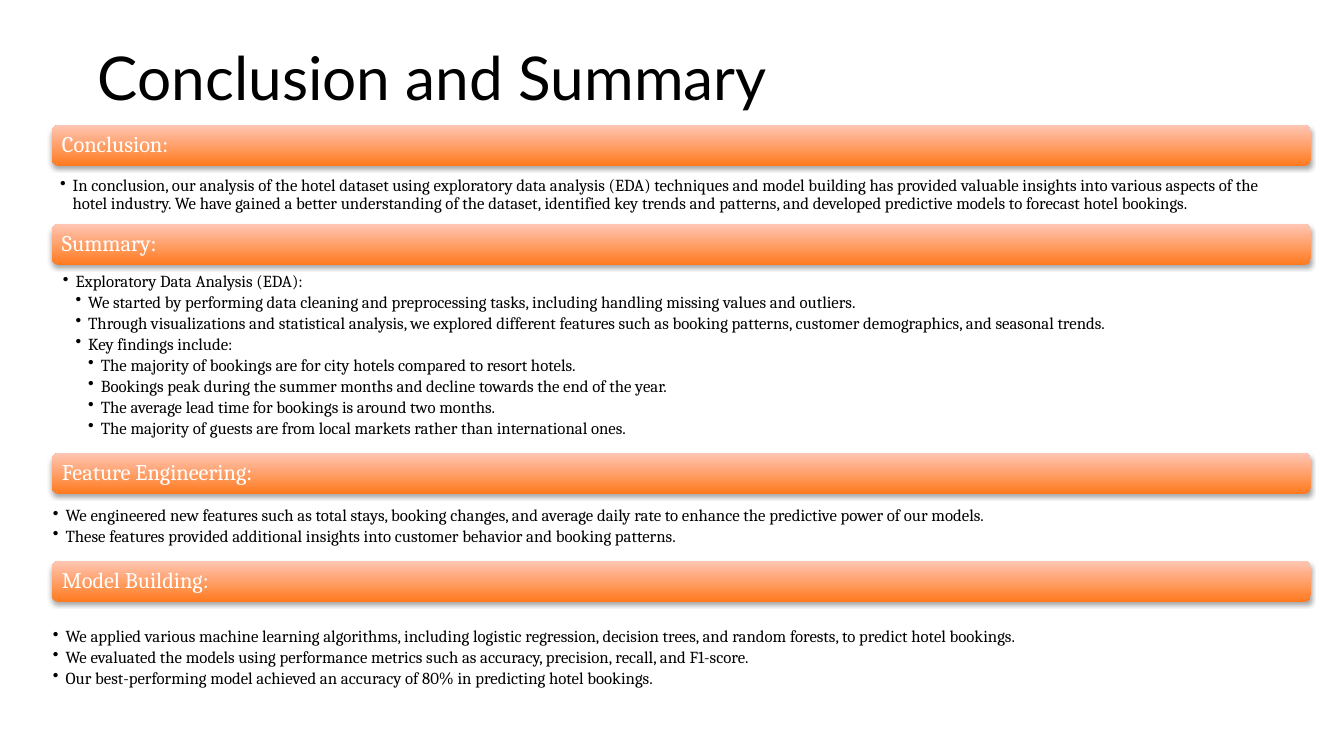
from lxml.etree import SubElement
from pptx import Presentation
from pptx.dml.color import RGBColor
from pptx.enum.shapes import MSO_SHAPE
from pptx.enum.text import MSO_ANCHOR, PP_ALIGN
from pptx.oxml.ns import qn
from pptx.util import Emu, Pt

COLORS = {"text": "000000", "heading": "FFFFFF", "bar_dark": "FF7A1F",
          "bar_light": "FFC6B4", "shadow": "000000"}

SECTIONS = [
    ("Conclusion:", 125, (58, 175, 41), [
        (1, "In conclusion, our analysis of the hotel dataset using exploratory data analysis (EDA) "
            "techniques and model building has provided valuable insights into various aspects of the "
            "hotel industry. We have gained a better understanding of the dataset, identified key trends "
            "and patterns, and developed predictive models to forecast hotel bookings."),
    ]),
    ("Summary:", 224, (61, 271, 175), [
        (1, "Exploratory Data Analysis (EDA):"),
        (2, "We started by performing data cleaning and preprocessing tasks, including handling missing "
            "values and outliers."),
        (2, "Through visualizations and statistical analysis, we explored different features such as "
            "booking patterns, customer demographics, and seasonal trends."),
        (2, "Key findings include:"),
        (3, "The majority of bookings are for city hotels compared to resort hotels."),
        (3, "Bookings peak during the summer months and decline towards the end of the year."),
        (3, "The average lead time for bookings is around two months."),
        (3, "The majority of guests are from local markets rather than international ones."),
    ]),
    ("Feature Engineering:", 453, (51, 505, 45), [
        (1, "We engineered new features such as total stays, booking changes, and average daily rate to "
            "enhance the predictive power of our models."),
        (1, "These features provided additional insights into customer behavior and booking patterns."),
    ]),
    ("Model Building:", 561, (51, 626, 68), [
        (1, "We applied various machine learning algorithms, including logistic regression, decision "
            "trees, and random forests, to predict hotel bookings."),
        (1, "We evaluated the models using performance metrics such as accuracy, precision, recall, and "
            "F1-score."),
        (1, "Our best-performing model achieved an accuracy of 80% in predicting hotel bookings."),
    ]),
]


def px(length):
    return Emu(round(length * 914400 / 100.8))


class SlideBuilder:
    heading_font = "Lato"
    body_font = "Cambria"
    bullet_indent = 9

    def __init__(self, slide):
        self.slide = slide

    def frame(self, shape, inset_x, inset_y, anchor):
        frame = shape.text_frame
        frame.word_wrap = True
        frame.vertical_anchor = anchor
        frame.margin_left = frame.margin_right = px(inset_x)
        frame.margin_top = frame.margin_bottom = px(inset_y)
        return frame

    def set_text(self, paragraph, text, size, font, color):
        paragraph.text = text
        paragraph.alignment = PP_ALIGN.LEFT
        paragraph.line_spacing = 0.9
        paragraph.font.size = Pt(size)
        paragraph.font.name = font
        paragraph.font.color.rgb = RGBColor.from_string(COLORS[color])

    def title(self, text, left, top, width, height):
        box = self.slide.shapes.add_textbox(px(left), px(top), px(width), px(height))
        frame = self.frame(box, 5, 8, MSO_ANCHOR.TOP)
        self.set_text(frame.paragraphs[0], text, 43.1, self.heading_font, "text")

    def bar(self, heading, left, top, width, height):
        bar = self.slide.shapes.add_shape(
            MSO_SHAPE.ROUNDED_RECTANGLE, px(left), px(top), px(width), px(height))
        bar.fill.gradient()
        bar.fill.gradient_angle = 90
        for stop, color in zip(bar.fill.gradient_stops, ("bar_dark", "bar_light")):
            stop.color.rgb = RGBColor.from_string(COLORS[color])
        bar.line.fill.background()
        self.drop_shadow(bar)
        frame = self.frame(bar, 8, 0, MSO_ANCHOR.MIDDLE)
        self.set_text(frame.paragraphs[0], heading, 16, self.body_font, "heading")

    def drop_shadow(self, shape):
        shape.shadow.inherit = False
        effects = shape.element.spPr.find(qn("a:effectLst"))
        shadow = SubElement(effects, qn("a:outerShdw"), blurRad=str(Pt(3)), dist=str(Pt(1.8)),
                            dir="5400000", rotWithShape="0")
        color = SubElement(shadow, qn("a:srgbClr"), val=COLORS["shadow"])
        SubElement(color, qn("a:alpha"), val="35000")

    def bullets(self, items, left, top, width, height):
        box = self.slide.shapes.add_textbox(px(left), px(top), px(width), px(height))
        frame = self.frame(box, 2, 2, MSO_ANCHOR.TOP)
        for index, (level, text) in enumerate(items):
            paragraph = frame.add_paragraph() if index else frame.paragraphs[0]
            self.bullet(paragraph, level)
            self.set_text(paragraph, text, 12, self.body_font, "text")
            if index:
                paragraph.space_before = Pt(2)

    def bullet(self, paragraph, level):
        paragraph.level = level
        properties = paragraph._p.get_or_add_pPr()
        properties.set("marL", str(Pt(self.bullet_indent * level)))
        properties.set("indent", str(-Pt(self.bullet_indent)))
        color = SubElement(properties, qn("a:buClr"))
        SubElement(color, qn("a:srgbClr"), val=COLORS["text"])
        SubElement(properties, qn("a:buChar"), char="•")


def main():
    presentation = Presentation()
    presentation.slide_width = px(1344)
    presentation.slide_height = px(756)
    builder = SlideBuilder(presentation.slides.add_slide(presentation.slide_layouts[6]))

    builder.title("Conclusion and Summary", 93, 40, 1159, 146)
    for heading, bar_top, (list_left, list_top, list_height), items in SECTIONS:
        builder.bar(heading, 52, bar_top, 1259, 41)
        builder.bullets(items, list_left, list_top, 1211, list_height)

    presentation.save("out.pptx")


if __name__ == "__main__":
    main()
